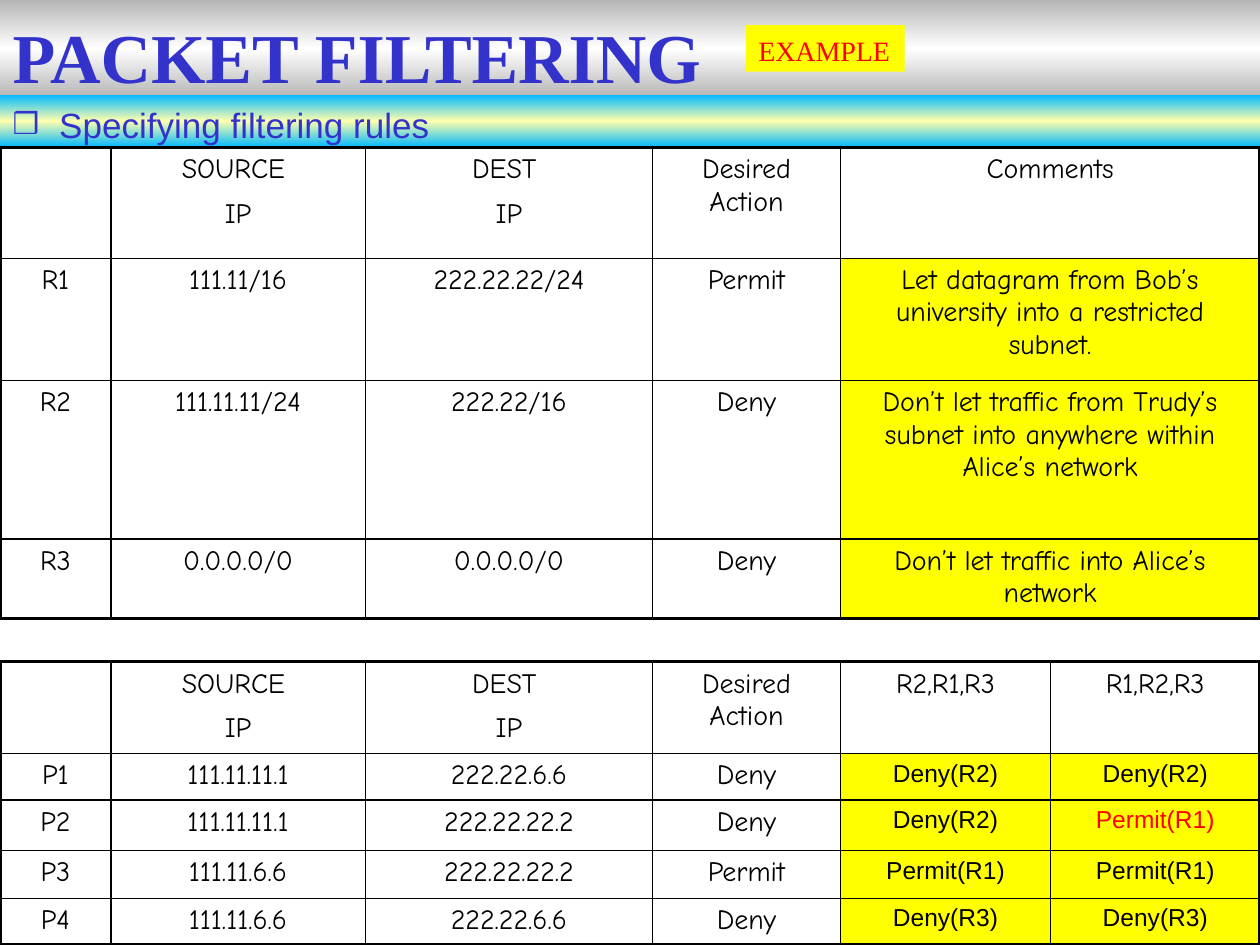
from copy import deepcopy

from lxml import etree
from pptx import Presentation
from pptx import util as u
from pptx.dml.color import RGBColor
from pptx.enum import shapes, text
from pptx.oxml.ns import qn

COLORS = {
    "black": "000000",
    "white": "FFFFFF",
    "red": "FF0000",
    "yellow": "FFFF00",
    "blue": "3333CC",
    "grey": "B6B6B6",
    "sky": "00B8FF",
    "cream": "FFFFAD",
}
SERIF, SANS, HAND = "Times New Roman", "Arial", "Comic Neue"
LEAD_COLUMNS = [0.88, 2.02, 2.28, 1.49]
LEAD_HEADERS = ["", "SOURCE \nIP", "DEST \nIP", "Desired Action"]

RULES = [
    LEAD_HEADERS + ["Comments"],
    ["R1", "111.11/16", "222.22.22/24", "Permit",
     "Let datagram from Bob’s university into a restricted subnet."],
    ["R2", "111.11.11/24", "222.22/16", "Deny",
     "Don’t let traffic from Trudy’s subnet into anywhere within Alice’s network"],
    ["R3", "0.0.0.0/0", "0.0.0.0/0", "Deny",
     "Don’t let traffic into Alice’s network"],
]
PACKETS = [
    LEAD_HEADERS + ["R2,R1,R3", "R1,R2,R3"],
    ["P1", "111.11.11.1", "222.22.6.6", "Deny", "Deny(R2)", "Deny(R2)"],
    ["P2", "111.11.11.1", "222.22.22.2", "Deny", "Deny(R2)", "Permit(R1)"],
    ["P3", "111.11.6.6", "222.22.22.2", "Permit", "Permit(R1)", "Permit(R1)"],
    ["P4", "111.11.6.6", "222.22.6.6", "Deny", "Deny(R3)", "Deny(R3)"],
]


def rgb(name):
    return RGBColor.from_string(COLORS[name])


def add_text(para, words, size, font, color, bold=False):
    span = para.add_run()
    span.text = words
    span.font.size = u.Pt(size)
    span.font.name = font
    span.font.bold = bold
    span.font.color.rgb = rgb(color)


def place(box, left, top, width, height):
    box.left, box.top = u.Inches(left), u.Inches(top)
    box.width, box.height = u.Inches(width), u.Inches(height)


def set_frame(box, top_inset, wrap=True):
    frame = box.text_frame
    frame.auto_size = text.MSO_AUTO_SIZE.NONE
    frame.word_wrap = wrap
    frame.vertical_anchor = text.MSO_ANCHOR.TOP
    frame.margin_left = frame.margin_right = u.Inches(0.1)
    frame.margin_top, frame.margin_bottom = u.Inches(top_inset), 0
    para = frame.paragraphs[0]
    para.alignment = text.PP_ALIGN.LEFT
    para.space_before = u.Pt(0)
    return para


def fill_band(box, edge, middle):
    """Vertical gradient from edge through middle and back to edge."""
    box.fill.gradient()
    box.fill.gradient_angle = 270
    for stop in box.fill.gradient_stops:
        stop.color.rgb = rgb(edge)
    first = next(box._element.iter(qn("a:gs")))
    center = deepcopy(first)
    center.set("pos", "50000")
    center.find(qn("a:srgbClr")).set("val", COLORS[middle])
    first.addnext(center)


def add_bullet(para, char, color, percent, indent):
    props = para._p.get_or_add_pPr()
    props.set("marL", str(u.Inches(indent)))
    props.set("indent", str(-u.Inches(indent)))
    tint = etree.SubElement(props, qn("a:buClr"))
    etree.SubElement(tint, qn("a:srgbClr"), val=COLORS[color])
    etree.SubElement(props, qn("a:buSzPct"), val=str(percent * 1000))
    etree.SubElement(props, qn("a:buChar"), char=char)


def set_borders(cell, outer):
    """Thick line on the sides named in outer, thin line on the others."""
    props = cell._tc.get_or_add_tcPr()
    for side in "LRTB":
        points = 2.25 if side in outer else 1
        line = etree.SubElement(props, qn(f"a:ln{side}"), w=str(u.Pt(points)))
        solid = etree.SubElement(line, qn("a:solidFill"))
        etree.SubElement(solid, qn("a:srgbClr"), val=COLORS["black"])


def fill_cell(cell, words, size, font, color):
    for index, line in enumerate(words.split("\n") if words else []):
        frame = cell.text_frame
        para = frame.add_paragraph() if index else frame.paragraphs[0]
        para.alignment = text.PP_ALIGN.CENTER
        if index:
            para.space_before = u.Pt(7)
        add_text(para, line, size, font, color)


def add_grid(page, top, columns, heights, rows, result_style, alerts=()):
    """Table whose columns after the lead ones hold highlighted results."""
    table = page.shapes.add_table(
        len(rows), len(columns), 0, u.Inches(top),
        u.Inches(10), u.Inches(sum(heights))).table
    table.first_row = table.horz_banding = False
    for column, width in zip(table.columns, columns):
        column.width = u.Inches(width)
    for row, height in zip(table.rows, heights):
        row.height = u.Inches(height)

    last_row, last_column = len(rows) - 1, len(columns) - 1
    for r, values in enumerate(rows):
        for c, words in enumerate(values):
            cell = table.cell(r, c)
            sides = {"L": c == 0, "R": c == last_column,
                     "T": r == 0, "B": r == last_row}
            set_borders(cell, [side for side in sides if sides[side]])
            result = r > 0 and c >= len(LEAD_COLUMNS)
            cell.fill.solid()
            cell.fill.fore_color.rgb = rgb("yellow" if result else "white")
            size, font = result_style if result else (16, HAND)
            color = "red" if (r, c) in alerts else "black"
            fill_cell(cell, words, size, font, color)


def add_badge(page, words):
    box = page.shapes.add_shape(shapes.MSO_SHAPE.RECTANGLE, 0, 0, 0, 0)
    place(box, 5.92, 0.2, 1.26, 0.37)
    box.shadow.inherit = False
    box.fill.solid()
    box.fill.fore_color.rgb = rgb("yellow")
    box.line.fill.background()
    add_text(set_frame(box, 0.07, wrap=False), words, 16, SERIF, "red")


def main():
    deck = Presentation()
    deck.slide_width, deck.slide_height = u.Inches(10), u.Inches(7.5)
    page = deck.slides.add_slide(deck.slide_layouts[1])

    # Title band
    title = page.shapes.title
    place(title, 0, 0, 10, 0.77)
    fill_band(title, "grey", "white")
    add_text(set_frame(title, 0.11), "PACKET FILTERING", 40, SERIF, "blue", True)

    # Topic band
    topic = page.placeholders[1]
    place(topic, 0, 0.75, 10, 0.42)
    fill_band(topic, "sky", "cream")
    para = set_frame(topic, 0.07)
    add_bullet(para, "❒", "blue", 85, 0.37)
    add_text(para, "Specifying filtering rules", 20, SANS, "blue")

    # Packets checked under two rule orders
    add_grid(page, 5.25, LEAD_COLUMNS + [1.67, 1.66],
             [0.73, 0.37, 0.4, 0.38, 0.37], PACKETS, (14, SANS), {(2, 5)})

    # Filtering rules
    add_grid(page, 1.17, LEAD_COLUMNS + [3.33],
             [0.88, 0.97, 1.26, 0.63], RULES, (16, HAND))

    add_badge(page, "EXAMPLE")
    deck.save("out.pptx")


if __name__ == "__main__":
    main()
